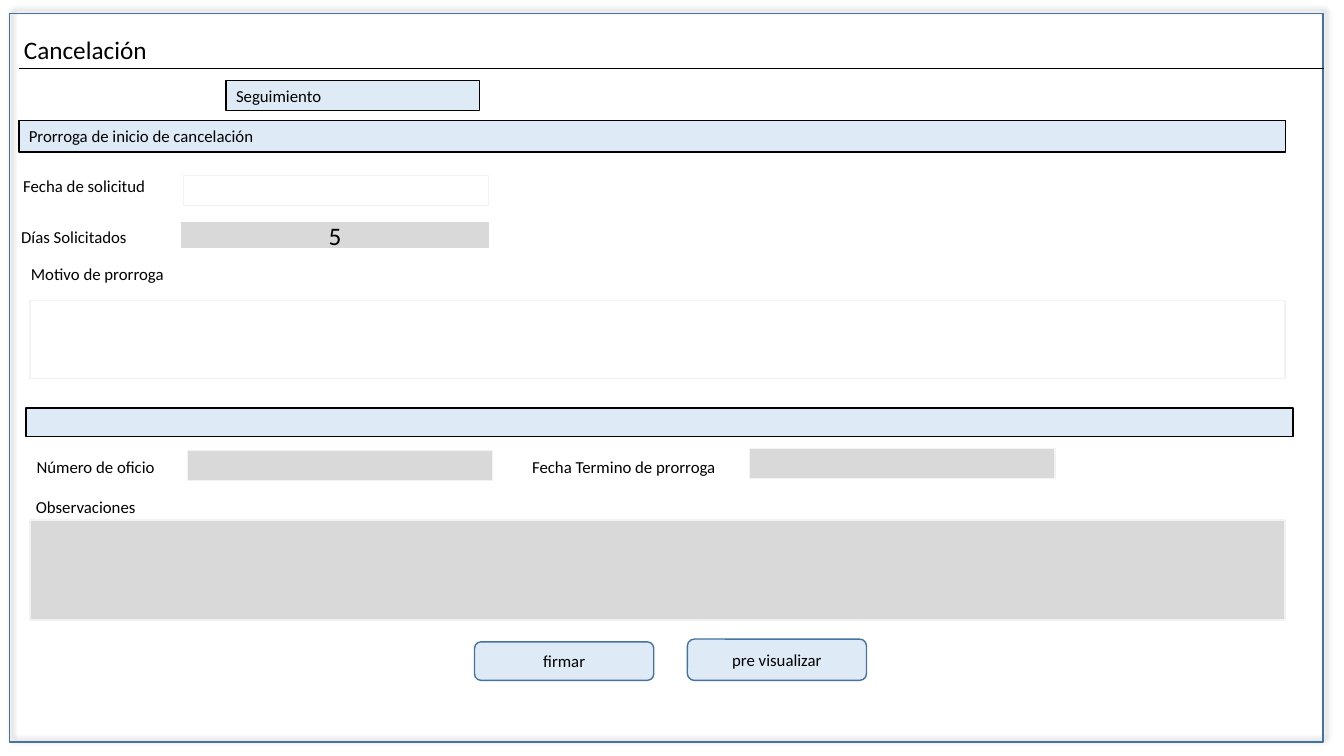
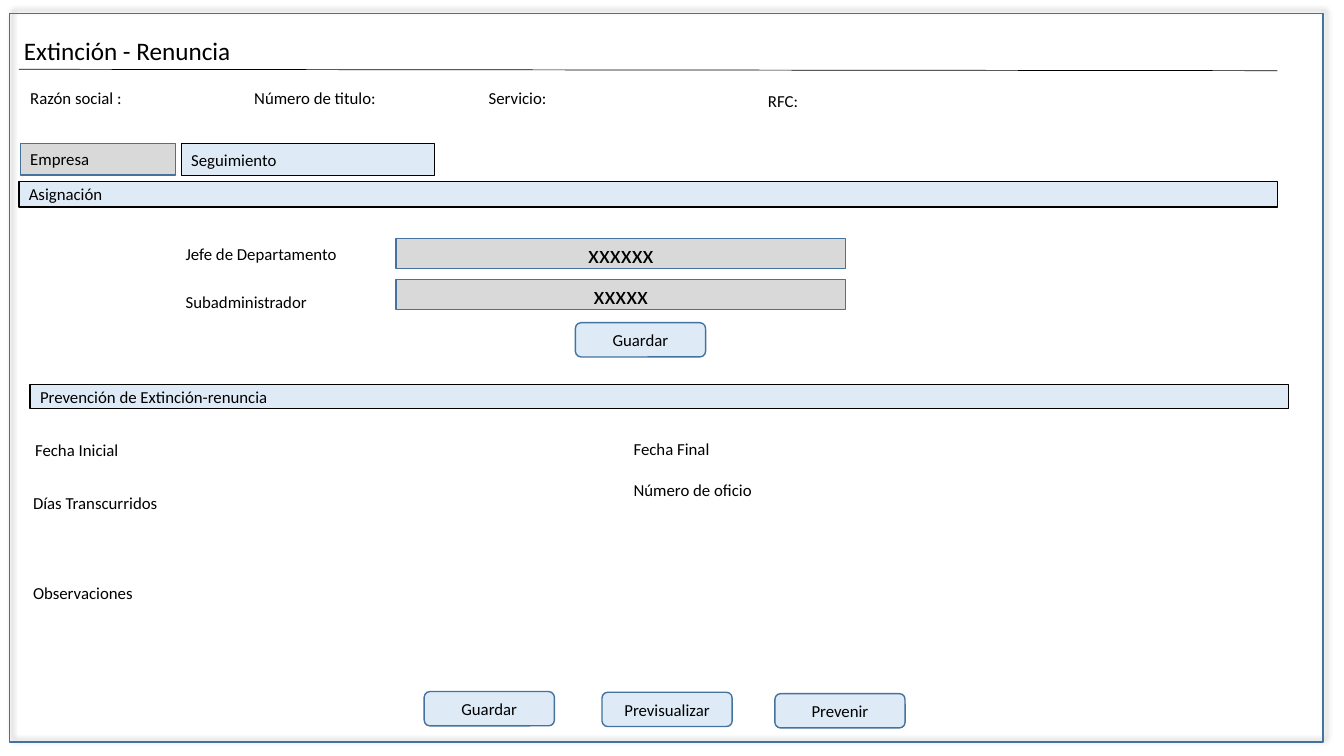
from lxml import etree
from pptx import Presentation
from pptx.dml.color import RGBColor
from pptx.enum.shapes import MSO_CONNECTOR, MSO_SHAPE
from pptx.enum.text import MSO_ANCHOR, MSO_AUTO_SIZE, PP_ALIGN
from pptx.oxml.ns import qn
from pptx.util import Pt

RECT = MSO_SHAPE.RECTANGLE
ROUND = MSO_SHAPE.ROUNDED_RECTANGLE
STRAIGHT = MSO_CONNECTOR.STRAIGHT
MIDDLE = MSO_ANCHOR.MIDDLE
GROW = MSO_AUTO_SIZE.SHAPE_TO_FIT_TEXT
LEFT = PP_ALIGN.LEFT
CENTER = PP_ALIGN.CENTER

COLORS = {
    "black": "000000",
    "white": "FFFFFF",
    "sky": "DEEBF7",
    "blue": "43739E",
    "gray": "D9D9D9",
    "pale": "F2F2F2",
}

LOOKS = {
    "frame": {"form": RECT, "fill": None, "line": "blue", "align": LEFT},
    "bar": {"form": RECT, "fill": "sky", "line": "black", "align": LEFT},
    "tab": {"form": RECT, "fill": "gray", "line": "blue", "align": LEFT},
    "input": {"form": RECT, "fill": "white", "line": "pale", "align": LEFT},
    "locked": {"form": RECT, "fill": "gray", "line": "pale", "align": LEFT},
    "days": {"form": RECT, "fill": "gray", "line": "gray", "align": CENTER},
    "value": {"form": RECT, "fill": "gray", "line": "blue", "align": CENTER},
    "button": {"form": ROUND, "fill": "sky", "line": "blue", "align": CENTER},
}

BODY = {"name": "Calibri", "size": Pt(12), "bold": False}
LARGE = {**BODY, "size": Pt(18)}

SHADOW = {
    "blurRad": Pt(4),
    "dist": Pt(3),
    "dir": 315 * 60000,
    "algn": "bl",
    "rotWithShape": 0,
}


def color(name):
    return RGBColor.from_string(COLORS[name])


def points(*values):
    return [Pt(value) for value in values]


def write(frame, text, font, align=LEFT):
    para = frame.paragraphs[0]
    para.alignment = align
    run = para.add_run()
    run.text = text
    for key, value in font.items():
        setattr(run.font, key, value)
    run.font.color.rgb = color("black")


def box(slide, kind, x, y, w, h, text="", font=BODY):
    look = LOOKS[kind]
    shape = slide.shapes.add_shape(look["form"], *points(x, y, w, h))
    shape.shadow.inherit = False
    if look["fill"]:
        shape.fill.solid()
        shape.fill.fore_color.rgb = color(look["fill"])
    else:
        shape.fill.background()
    shape.line.color.rgb = color(look["line"])
    shape.line.width = Pt(1)
    if text:
        shape.text_frame.vertical_anchor = MIDDLE
        write(shape.text_frame, text, font, look["align"])
    return shape


def label(slide, x, y, text, w=243, h=22, font=BODY):
    frame = slide.shapes.add_textbox(*points(x, y, w, h)).text_frame
    frame.word_wrap = True
    frame.auto_size = GROW
    write(frame, text, font)


def rule(slide, *ends):
    line = slide.shapes.add_connector(STRAIGHT, *points(*ends))
    line.line.color.rgb = color("black")
    line.line.width = Pt(0.5)
    etree.SubElement(line._element.spPr, qn("a:effectLst"))


def shade(shape):
    effects = shape._element.spPr.find(qn("a:effectLst"))
    outer = etree.SubElement(effects, qn("a:outerShdw"))
    for key, value in SHADOW.items():
        outer.set(key, str(value))
    tint = etree.SubElement(outer, qn("a:srgbClr"), val=COLORS["black"])
    etree.SubElement(tint, qn("a:alpha"), val="40000")


def page(deck, title, top, ends):
    slide = deck.slides.add_slide(deck.slide_layouts[6])
    shade(box(slide, "frame", 7, 9.5, 938, 520.5))
    label(slide, 10, top, title, 368, 29, LARGE)
    rule(slide, *ends)
    return slide


def cancel(deck):
    slide = page(deck, "Cancelación", 21, (13.5, 49, 945.5, 49))
    box(slide, "bar", 161.5, 57.5, 181, 21.5, "Seguimiento")
    box(slide, "bar", 13.5, 86, 905, 22.5, "Prorroga de inicio de cancelación")
    box(slide, "bar", 18.5, 291.5, 905, 20.5)
    for x, y, text in (
        (9.5, 122, "Fecha de solicitud"),
        (8, 158.5, "Días Solicitados"),
        (15, 184.5, "Motivo de prorroga"),
        (19, 323, "Número de oficio"),
        (373, 322.5, "Fecha Termino de prorroga"),
        (18.5, 351.5, "Observaciones"),
    ):
        label(slide, x, y, text)
    for kind, x, y in (
        ("input", 131, 125.5),
        ("locked", 134, 322),
        ("locked", 535.5, 320.5),
    ):
        box(slide, kind, x, y, 218, 21.5)
    box(slide, "days", 129.5, 159, 219.5, 18, "5", LARGE)
    box(slide, "input", 21.5, 214.5, 896.5, 56)
    box(slide, "locked", 21.5, 371.5, 896.5, 71.5)
    box(slide, "button", 339, 458.5, 128, 27.5, "firmar")
    box(slide, "button", 491, 456.5, 128, 29.5, "pre visualizar")


def resign(deck):
    slide = page(deck, "Extinción - Renuncia", 22, (13.5, 49.5, 912.5, 50.5))
    box(slide, "tab", 14.5, 102.5, 111, 22.5, "Empresa")
    box(slide, "bar", 129.5, 102.5, 181, 23, "Seguimiento")
    box(slide, "bar", 13.5, 129.5, 899, 18.5, "Asignación")
    box(slide, "bar", 21.5, 274.5, 899, 17.5, "Prevención de Extinción-renuncia")
    for x, y, text in (
        (14.5, 59, "Razón social :"),
        (174.5, 59, "Número de titulo:"),
        (342, 59, "Servicio:"),
        (541.5, 61.5, "RFC:"),
    ):
        label(slide, x, y, text, 150)
    for x, y, text in (
        (125.5, 170.5, "Jefe de Departamento"),
        (125.5, 205, "Subadministrador"),
        (18, 310.5, "Fecha Inicial"),
        (445.5, 310, "Fecha Final"),
        (16.5, 348.5, "Días Transcurridos"),
        (445.5, 339, "Número de oficio"),
        (16.5, 412.5, "Observaciones"),
    ):
        label(slide, x, y, text)
    for y, text in ((170.5, "xxxxxx"), (199.5, "xxxxx")):
        box(slide, "value", 283, y, 321, 21.5, text, LARGE)
    for x, y, text in (
        (411, 230.5, "Guardar"),
        (303, 494, "Guardar"),
        (430, 494.5, "Previsualizar"),
        (553.5, 495.5, "Prevenir"),
    ):
        box(slide, "button", x, y, 93, 24.5, text)


def main():
    deck = Presentation()
    deck.slide_width, deck.slide_height = points(960, 540)
    cancel(deck)
    resign(deck)
    deck.save("out.pptx")


if __name__ == "__main__":
    main()
